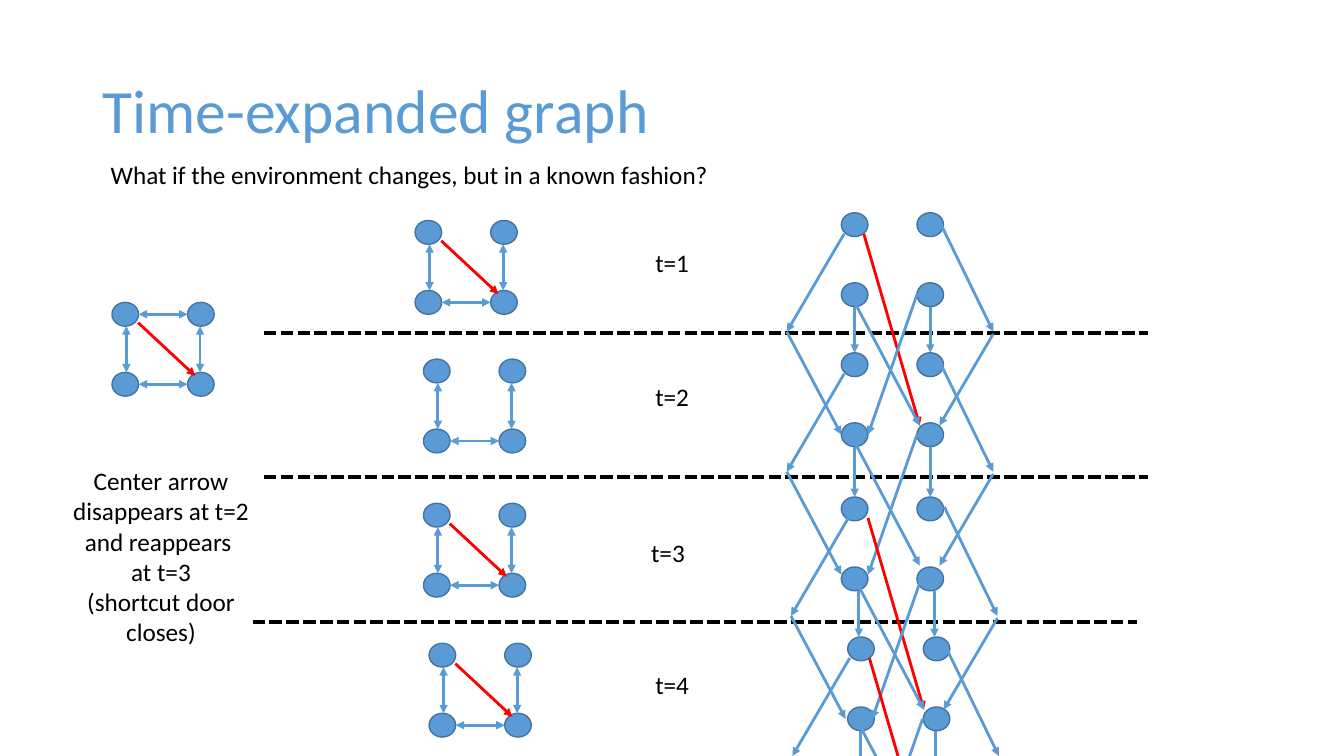
"""Build the time-expanded graph slide."""
from lxml.etree import SubElement
from pptx import Presentation
from pptx.dml.color import RGBColor
from pptx.enum.dml import MSO_LINE
from pptx.enum.shapes import MSO_CONNECTOR, MSO_SHAPE
from pptx.enum.text import MSO_ANCHOR, PP_ALIGN
from pptx.oxml.ns import qn
from pptx.util import Pt

BLUE = RGBColor(0x5B, 0x9B, 0xD5)
OUTLINE = RGBColor(0x43, 0x73, 0x9E)
RED = RGBColor(0xFF, 0, 0)
BLACK = RGBColor(0, 0, 0)
SLIDE_W, SLIDE_H = 960, 540
NODE_W, NODE_H = 19, 17
STEP_X, STEP_Y = 54, 50

prs = Presentation()
prs.slide_width, prs.slide_height = Pt(SLIDE_W), Pt(SLIDE_H)
s = prs.slides.add_slide(prs.slide_layouts[5])


def add_line(start, end, color, width=2, ends=()):
    """Draw a straight line with arrowheads at the given ends."""
    c = s.shapes.add_connector(MSO_CONNECTOR.STRAIGHT, *map(Pt, start + end))
    c.line.color.rgb = color
    c.line.width = Pt(width)
    for end_name in ends:
        SubElement(c.line._get_or_add_ln(), qn(f"a:{end_name}"), type="triangle")
    SubElement(c._element.spPr, qn("a:effectLst"))
    return c


def add_nodes(x, y):
    """Draw the four nodes of one graph."""
    for dy in (0, STEP_Y):
        for dx in (0, STEP_X):
            sp = s.shapes.add_shape(MSO_SHAPE.OVAL, Pt(x + dx), Pt(y + dy), Pt(NODE_W), Pt(NODE_H))
            sp.shadow.inherit = False
            sp.fill.solid()
            sp.fill.fore_color.rgb = BLUE
            sp.line.color.rgb = OUTLINE
            sp.line.width = Pt(1)


title = s.shapes.title
title.left, title.top, title.width, title.height = Pt(66), Pt(28.75), Pt(828), Pt(104.4)
tf = title.text_frame
tf.text = "Time-expanded graph"
tf.vertical_anchor = MSO_ANCHOR.MIDDLE
p = tf.paragraphs[0]
p.alignment = PP_ALIGN.LEFT
p.line_spacing = 0.9
font = p.runs[0].font
font.name, font.size, font.color.rgb = "Calibri", Pt(44), BLUE

door_note = ("Center arrow\ndisappears at t=2\nand reappears \n"
             "at t=3\n(shortcut door\ncloses)")
texts = [
    ("What if the environment changes, but in a known fashion?", 72, 110.5, 446, 29, PP_ALIGN.LEFT),
    (door_note, 44.5, 329, 141, 138, PP_ALIGN.CENTER),
    ("t=1", 461, 173, 39, 29, PP_ALIGN.LEFT),
    ("t=2", 461, 269, 39, 29, PP_ALIGN.LEFT),
    ("t=3", 458, 380, 39, 29, PP_ALIGN.LEFT),
    ("t=4", 461, 474.5, 39, 29, PP_ALIGN.LEFT),
]
for text, x, y, w, h, align in texts:
    tf = s.shapes.add_textbox(Pt(x), Pt(y), Pt(w), Pt(h)).text_frame
    tf.word_wrap = False
    tf.text = text
    for p in tf.paragraphs:
        p.alignment = align
        font = p.runs[0].font
        font.name, font.size, font.color.rgb = "Calibri", Pt(18), BLACK

graphs = [
    (80, 216, True, True),
    (296.5, 157.5, False, True),
    (302.5, 256.5, False, False),
    (302.5, 359.5, False, True),
    (306.5, 459.5, False, True),
]
for x, y, has_top, has_shortcut in graphs:
    add_nodes(x, y)
    edges = [((19, 58.5), (54, 58.5)), ((10.3, 50), (10.3, 17)), ((62.9, 50), (62.9, 17))]
    if has_top:
        edges.append(((19, 8.5), (54, 8.5)))
    for (x1, y1), (x2, y2) in edges:
        add_line((x + x1, y + y1), (x + x2, y + y2), BLUE, ends=("headEnd", "tailEnd"))
    if has_shortcut:
        add_line((x + 18.7, y + 14.5), (x + 59.5, y + 52.5), RED, ends=("tailEnd",))

for x, y in ((188.5, 237.75), (188.5, 340.75), (180.5, 444.25)):
    add_line((x, y), (x + 631.5, y), BLACK, 3).line.dash_style = MSO_LINE.SQUARE_DOT

for x, y in ((601, 152), (601, 252), (601, 355), (605.5, 455)):
    add_nodes(x, y)

layers = [(601, 152, 33, True), (601, 252, 36, False), (604, 355, 33, True), (605, 455, 33, True)]
for x, y, drop, has_shortcut in layers:
    moves = [
        ((9.5, 64), (56, 152), BLUE),
        ((54, 58.5), (19, 158.5), BLUE),
        ((9.5, 67), (9.5, 67 + drop), BLUE),
        ((63.5, 67), (63.5, 67 + drop), BLUE),
        ((2, 15), (-39, 85), BLUE),
        ((-39, 85), (0, 158.5), BLUE),
        ((70.5, 7), (108.5, 85), BLUE),
        ((108.5, 86.5), (70, 152), BLUE),
    ]
    if has_shortcut:
        moves.insert(0, ((16, 15), (56, 152), RED))
    for (x1, y1), (x2, y2), color in moves:
        if y + y1 < SLIDE_H:
            add_line((x + x1, y + y1), (x + x2, y + y2), color, ends=("tailEnd",))

prs.save("out.pptx")
